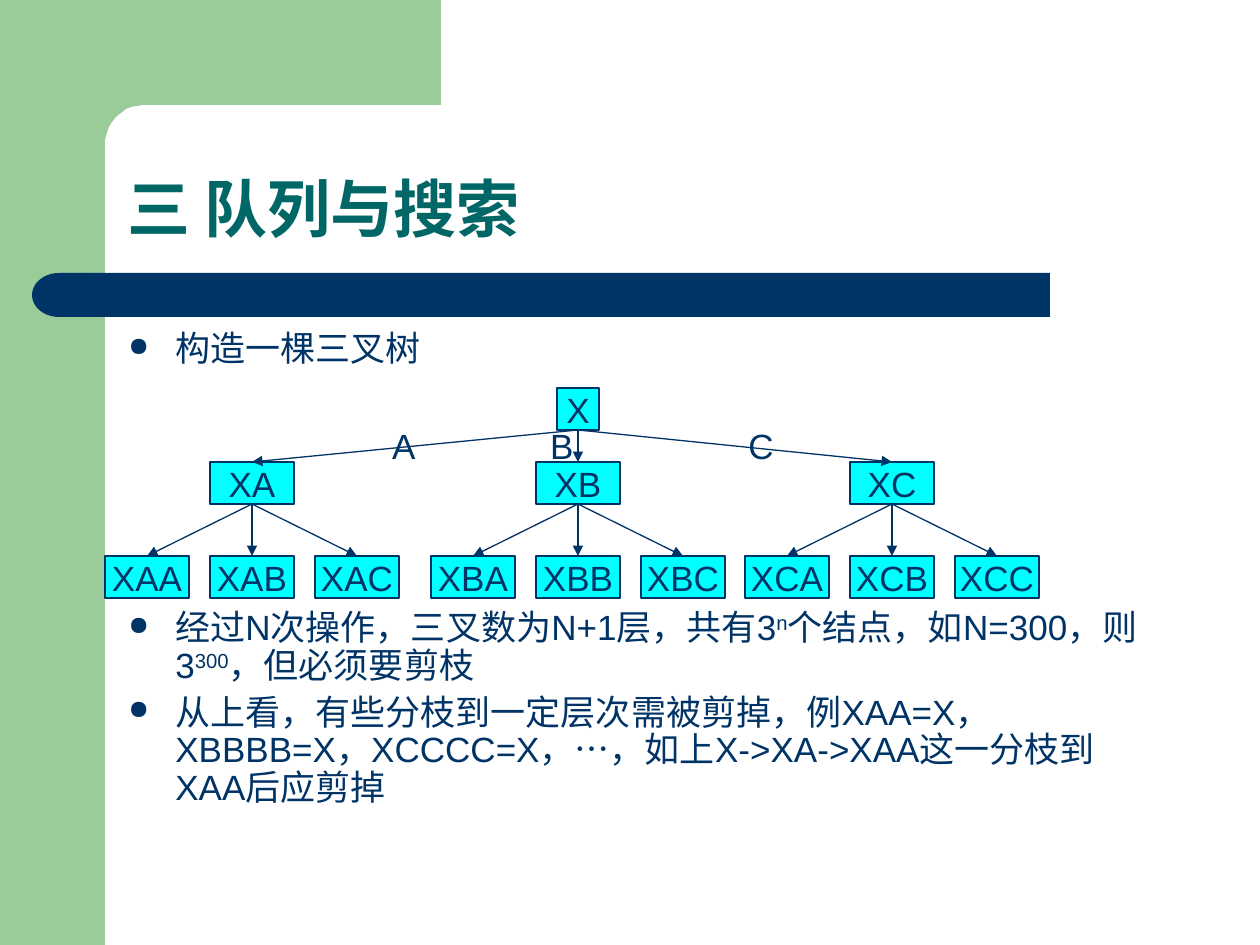
from math import cos, pi, sin

from lxml.etree import SubElement
from pptx import Presentation
from pptx.dml.color import RGBColor
from pptx.enum.lang import MSO_LANGUAGE_ID
from pptx.enum.shapes import MSO_CONNECTOR, MSO_SHAPE
from pptx.enum.text import MSO_ANCHOR, MSO_AUTO_SIZE, PP_ALIGN
from pptx.oxml.ns import qn
from pptx.util import Pt

SCALE = 914400 / 126  # EMU in one px
GREEN = RGBColor(0x99, 0xCC, 0x99)
NAVY = RGBColor(0x00, 0x33, 0x66)
TEAL = RGBColor(0x00, 0x66, 0x66)
CYAN = RGBColor(0x00, 0xFF, 0xFF)

NODE_W, NODE_H = 84, 42
ROOT_X, GAP = 578, 105
ROOT_Y, MID_Y, LEAF_Y = 388, 462, 556
MID_X = {"A": 252, "B": ROOT_X, "C": 892}
LABEL_X = {"A": 404, "B": 562, "C": 761}

# Text between ^ marks is raised.
POINTS = [
    ("构造一棵三叉树", 5),
    ("经过N次操作，三叉数为N+1层，共有3^n^个结点，如N=300，则3^300^，但必须要剪枝", 138),
    ("从上看，有些分枝到一定层次需被剪掉，例XAA=X，XBBBB=X，XCCCC=X，…，"
     "如上X->XA->XAA这一分枝到XAA后应剪掉", 5),
]


def px(*vals):
    return [round(val * SCALE) for val in vals]


def write(para, text, size=20, color=NAVY, bold=False, align=PP_ALIGN.CENTER,
          line=None, before=0):
    """Fill a paragraph, raising each part set between ^ marks."""
    para.alignment = align
    para.line_spacing = line
    para.space_before = Pt(before)
    for num, part in enumerate(text.split("^")):
        run = para.add_run()
        run.text = part
        font = run.font
        font.name, font.size, font.bold = "Arial", Pt(size), bold
        font.color.rgb = color
        font.language_id = MSO_LANGUAGE_ID.SIMPLIFIED_CHINESE
        if num % 2:
            run._r.get_or_add_rPr().set("baseline", "30000")


def set_frame(frame, wrap, anchor):
    frame.word_wrap = wrap
    frame.auto_size = MSO_AUTO_SIZE.NONE
    frame.vertical_anchor = anchor


def paint(shape, fill):
    shape.shadow.inherit = False
    shape.fill.solid()
    shape.fill.fore_color.rgb = fill
    shape.line.fill.background()


def add_block(slide, kind, box, fill):
    shape = slide.shapes.add_shape(kind, *px(*box))
    paint(shape, fill)
    return shape


def add_corner(slide):
    """Draw the top band with its rounded inner corner."""
    arc = [(143 - 38 * sin(step * pi / 20), 146 - 41 * cos(step * pi / 20))
           for step in range(11)]
    form = slide.shapes.build_freeform(441, 0, scale=SCALE)
    form.add_line_segments([(441, 105), *arc, (105, 161), (63, 161), (63, 0)])
    paint(form.convert_to_shape(), GREEN)


def add_frame(slide):
    add_block(slide, MSO_SHAPE.RECTANGLE, (0, 0, 105, 945), GREEN)
    add_corner(slide)
    add_block(slide, MSO_SHAPE.RECTANGLE, (84, 273, 966, 44), NAVY)
    cap = add_block(slide, MSO_SHAPE.FLOWCHART_DELAY, (32, 273, 54, 44), NAVY)
    cap.rotation = 180


def add_title(slide, text):
    title = slide.shapes.title
    title.left, title.top, title.width, title.height = px(115, 115, 1072, 137)
    set_frame(title.text_frame, True, MSO_ANCHOR.BOTTOM)
    write(title.text_frame.paragraphs[0], text, size=36, color=TEAL,
          bold=True, align=PP_ALIGN.LEFT, line=0.9)


def add_bullet(para):
    props = para._p.get_or_add_pPr()
    indent, = px(47)
    props.set("marL", str(indent))
    props.set("indent", str(-indent))
    tint = SubElement(props, qn("a:buClr"))
    SubElement(tint, qn("a:srgbClr"), val=str(NAVY))
    SubElement(props, qn("a:buSzPct"), val="75000")
    SubElement(props, qn("a:buChar"), char="●")


def add_body(slide):
    frame = slide.shapes.add_textbox(*px(116, 325, 1060, 513)).text_frame
    set_frame(frame, True, MSO_ANCHOR.TOP)
    for num, (text, before) in enumerate(POINTS):
        para = frame.add_paragraph() if num else frame.paragraphs[0]
        write(para, text, align=PP_ALIGN.LEFT, line=0.9, before=before)
        add_bullet(para)


def add_node(slide, text, mid, top, width=NODE_W):
    box = (mid - width / 2, top, width, NODE_H)
    node = add_block(slide, MSO_SHAPE.RECTANGLE, box, CYAN)
    node.line.color.rgb = NAVY
    node.line.width = Pt(0.75)
    set_frame(node.text_frame, False, MSO_ANCHOR.MIDDLE)
    write(node.text_frame.paragraphs[0], text)


def add_arrow(slide, start, end):
    arrow = slide.shapes.add_connector(MSO_CONNECTOR.STRAIGHT, *px(*start, *end))
    arrow.line.color.rgb = NAVY
    arrow.line.width = Pt(0.75)
    SubElement(arrow.line._get_or_add_ln(), qn("a:tailEnd"), type="triangle")
    SubElement(arrow._element.spPr, qn("a:effectLst"))


def add_label(slide, text, mid):
    top = ROOT_Y + NODE_H
    box = px(mid - 26, top, 52, MID_Y - top)
    frame = slide.shapes.add_textbox(*box).text_frame
    set_frame(frame, False, MSO_ANCHOR.MIDDLE)
    write(frame.paragraphs[0], text)


def add_tree(slide):
    leaves = [(name + leaf, mid, mid + shift * GAP)
              for name, mid in MID_X.items()
              for leaf, shift in zip("ABC", (-1, 0, 1))]
    add_node(slide, "X", ROOT_X, ROOT_Y, NODE_H)
    for name, mid in MID_X.items():
        add_node(slide, "X" + name, mid, MID_Y)
    for name, _, mid in leaves:
        add_node(slide, "X" + name, mid, LEAF_Y)
    for mid in MID_X.values():
        add_arrow(slide, (ROOT_X, ROOT_Y + NODE_H), (mid, MID_Y))
    for _, top, mid in leaves:
        add_arrow(slide, (top, MID_Y + NODE_H), (mid, LEAF_Y))
    for name, mid in LABEL_X.items():
        add_label(slide, name, mid)


def main():
    deck = Presentation()
    deck.slide_width, deck.slide_height = px(1260, 945)
    slide = deck.slides.add_slide(deck.slide_layouts[5])
    add_frame(slide)
    add_title(slide, "三 队列与搜索")
    add_body(slide)
    add_tree(slide)
    deck.save("out.pptx")


if __name__ == "__main__":
    main()
